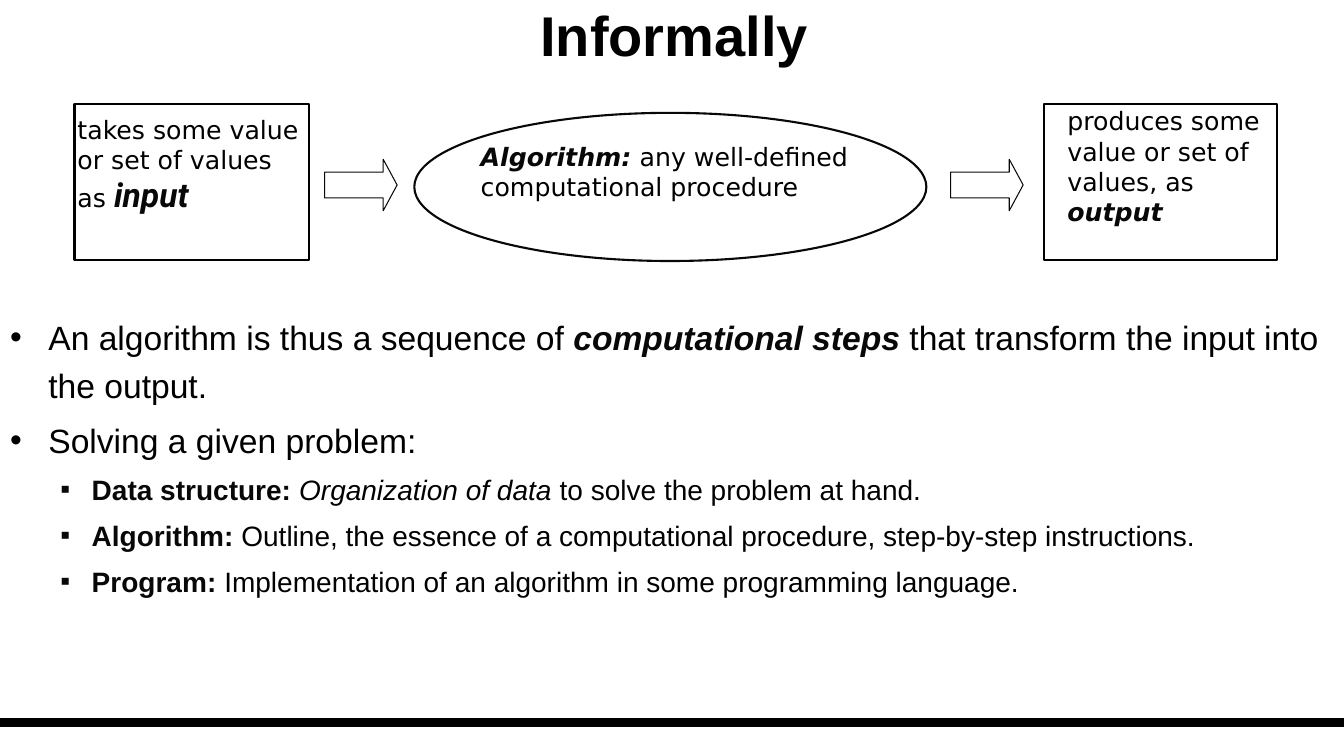
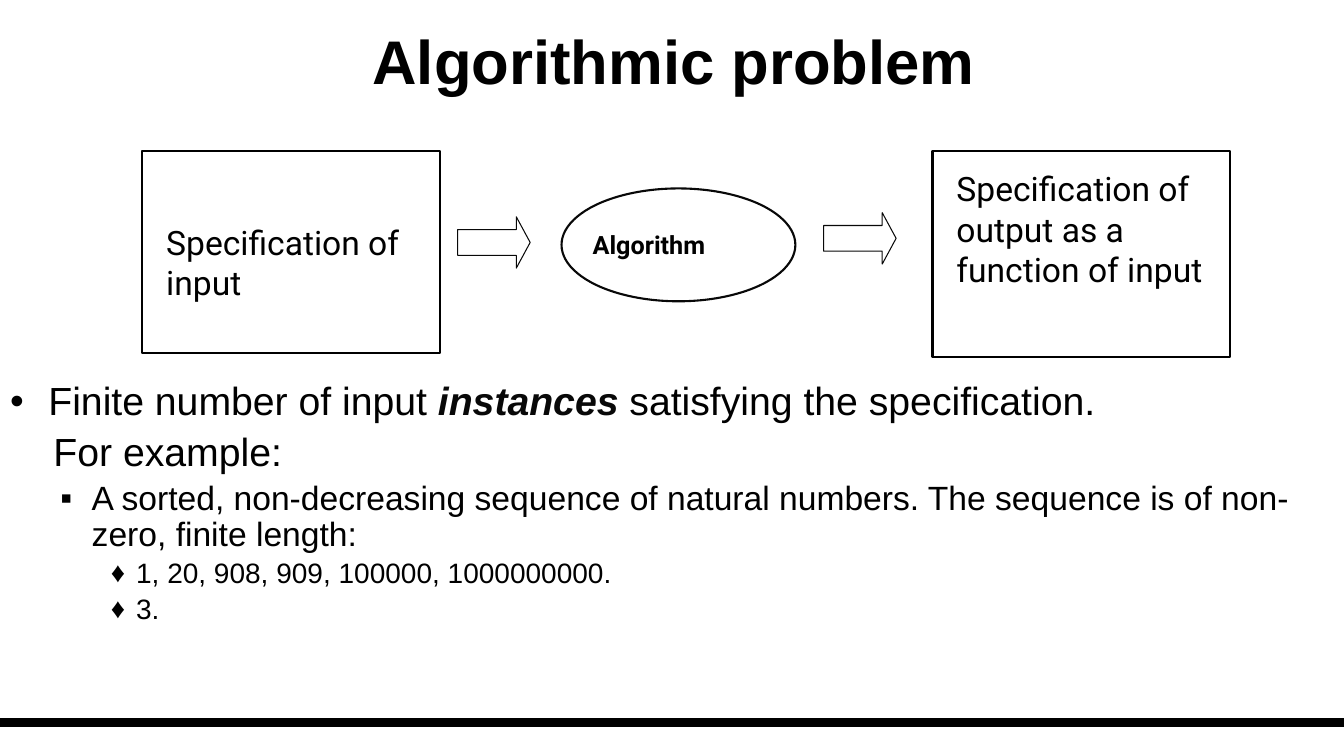
"""Build two slides that introduce algorithms and algorithmic problems."""
from dataclasses import dataclass

from lxml.etree import SubElement
from pptx import Presentation
from pptx.dml.color import RGBColor
from pptx.enum.shapes import MSO_CONNECTOR, MSO_SHAPE
from pptx.enum.text import MSO_ANCHOR, MSO_AUTO_SIZE, PP_ALIGN
from pptx.oxml.ns import qn
from pptx.util import Inches, Pt

WIDTH, HEIGHT = Inches(13.33), Inches(7.5)
COLORS = {"ink": "000000", "accent": "080808"}
STYLES = {
    "plain": ("ink", False, False),
    "label": ("ink", True, False),
    "italic": ("ink", False, True),
    "term": ("accent", True, False),
    "strong": ("accent", True, True),
}
LEVELS = {0: ("•", 0.38, 0.38), 1: ("▪", 0.81, 0.31), 2: ("♦", 1.25, 0.25)}
FOLLOW_ON_INDENT = 0.43
ARROW_SIZE = (5.4, 6.8)


@dataclass
class Span:
    text: str
    style: str = "plain"
    font: str = ""
    size: int = 0


@dataclass
class Item:
    spans: list
    size: int
    level: int = 0
    bullet: bool = True


def color(name):
    return RGBColor.from_string(COLORS[name])


def place(left, top, width, height):
    """Turn percentages of the slide into lengths."""
    return (int(WIDTH * left / 100), int(HEIGHT * top / 100),
            int(WIDTH * width / 100), int(HEIGHT * height / 100))


def write_spans(para, spans, font, size):
    for span in spans:
        run = para.add_run()
        run.text = span.text
        ink, run.font.bold, run.font.italic = STYLES[span.style]
        run.font.color.rgb = color(ink)
        run.font.name = span.font or font
        run.font.size = Pt(span.size or size)


def move_placeholder(holder, area):
    holder.left, holder.top, holder.width, holder.height = place(*area)
    holder.text_frame.auto_size = MSO_AUTO_SIZE.NONE
    return holder.text_frame


def set_title(page, text, size, height):
    frame = move_placeholder(page.shapes.title, (0.3, 0.27, 99.7, height))
    frame.vertical_anchor = MSO_ANCHOR.MIDDLE
    para = frame.paragraphs[0]
    para.alignment = PP_ALIGN.CENTER
    write_spans(para, [Span(text, "label")], "Arial", size)


def set_bullet(para, item):
    mark, margin, hang = LEVELS[item.level]
    if not item.bullet:
        margin, hang = FOLLOW_ON_INDENT, 0
    para.level = item.level
    props = para._p.get_or_add_pPr()
    props.set("marL", str(Inches(margin)))
    props.set("indent", str(-Inches(hang)))
    if item.bullet:
        SubElement(props, qn("a:buFont")).set("typeface", "Arial")
        SubElement(props, qn("a:buChar")).set("char", mark)
    else:
        SubElement(props, qn("a:buNone"))


def set_body(page, area, items, line_spacing):
    frame = move_placeholder(page.placeholders[1], area)
    for index, item in enumerate(items):
        para = frame.add_paragraph() if index else frame.paragraphs[0]
        para.line_spacing = line_spacing
        set_bullet(para, item)
        write_spans(para, item.spans, "Arial", item.size)


def add_outline(page, kind, area, ink="accent", weight=1.5):
    shape = page.shapes.add_shape(kind, *place(*area))
    shape.shadow.inherit = False
    shape.fill.background()
    shape.line.color.rgb = color(ink)
    shape.line.width = Pt(weight)
    return shape


def add_box(page, area):
    add_outline(page, MSO_SHAPE.RECTANGLE, area, "ink")


def add_ellipse(page, area):
    add_outline(page, MSO_SHAPE.OVAL, area)


def add_arrow(page, left, top):
    arrow = add_outline(page, MSO_SHAPE.RIGHT_ARROW, (left, top, *ARROW_SIZE), weight=0.75)
    arrow.adjustments[0] = 0.5
    arrow.adjustments[1] = 0.27


def add_text(page, area, spans, font, size):
    frame = page.shapes.add_textbox(*place(*area)).text_frame
    frame.word_wrap = True
    write_spans(frame.paragraphs[0], spans, font, size)


def add_master_rule(deck, page):
    """Draw the bottom rule and hand it to the slide master."""
    top = int(HEIGHT * 0.956)
    rule = page.shapes.add_connector(MSO_CONNECTOR.STRAIGHT, 0, top, WIDTH, top)
    rule.line.color.rgb = color("ink")
    rule.line.width = Pt(6)
    SubElement(rule.element.spPr, qn("a:effectLst"))
    deck.slide_master.shapes.element.append(rule.element)


def add_page(deck):
    return deck.slides.add_slide(deck.slide_layouts[1])


def build_informal_page(page):
    set_title(page, "Informally", 40, 8.53)
    set_body(page, (0, 40.13, 100, 53.2), [
        Item([Span("An algorithm is thus a sequence of "),
              Span("computational steps", "strong"),
              Span(" that transform the input into the output.")], 24),
        Item([Span("Solving a given problem:")], 24),
        Item([Span("Data structure: ", "term"),
              Span("Organization of data", "italic"),
              Span(" to solve the problem at hand.")], 20, 1),
        Item([Span("Algorithm:", "term"),
              Span(" Outline, the essence of a computational procedure, "
                   "step-by-step instructions.")], 20, 1),
        Item([Span("Program:", "term"),
              Span(" Implementation of an algorithm in some programming language.")], 20, 1),
    ], 1.2)
    add_box(page, (5.55, 13.73, 17.48, 20.67))
    add_text(page, (5.03, 14.4, 18, 14.8),
             [Span("takes some value or set of values as "),
              Span("input", "strong", "Roboto", 24)], "DejaVu Sans", 18)
    add_arrow(page, 24.15, 21.07)
    add_ellipse(page, (30.83, 14.93, 38.1, 19.6))
    add_text(page, (35.03, 18, 30, 9.47),
             [Span("Algorithm:", "strong"),
              Span(" any well-defined computational procedure")], "DejaVu Sans", 18)
    add_arrow(page, 70.73, 21.07)
    add_box(page, (77.7, 13.73, 17.33, 20.67))
    add_text(page, (78.68, 13.33, 17.18, 17.47),
             [Span("produces some value or set of values, as "),
              Span("output", "strong")], "DejaVu Sans", 18)


def build_problem_page(page):
    set_title(page, "Algorithmic problem", 44, 15.33)
    set_body(page, (0, 49.87, 98.25, 42.53), [
        Item([Span("Finite number of input "), Span("instances", "strong"),
              Span(" satisfying the specification.")], 28),
        Item([Span("For example:")], 28, bullet=False),
        Item([Span("A sorted, non-decreasing sequence of natural numbers. "
                   "The sequence is of non-zero, finite length:")], 24, 1),
        Item([Span("1, 20, 908, 909, 100000, 1000000000.")], 20, 2),
        Item([Span("3.")], 20, 2),
    ], 0.9)
    add_box(page, (10.58, 20, 22.13, 26.67))
    add_text(page, (11.63, 28.67, 21.23, 12.13),
             [Span("Specification of input")], "Roboto", 24)
    add_arrow(page, 34.05, 28.67)
    add_ellipse(page, (41.78, 24.93, 17.4, 14.93))
    add_text(page, (43.35, 29.73, 10.95, 5.33), [Span("Algorithm", "label")], "Roboto", 18)
    add_arrow(page, 61.28, 28.13)
    add_box(page, (69.38, 20, 22.13, 27.2))
    add_text(page, (70.43, 21.6, 21.23, 17.47),
             [Span("Specification of output as a function of input")], "Roboto", 24)


def main():
    deck = Presentation()
    deck.slide_width, deck.slide_height = WIDTH, HEIGHT
    informal_page = add_page(deck)
    add_master_rule(deck, informal_page)
    build_informal_page(informal_page)
    build_problem_page(add_page(deck))
    deck.save("out.pptx")


if __name__ == "__main__":
    main()
